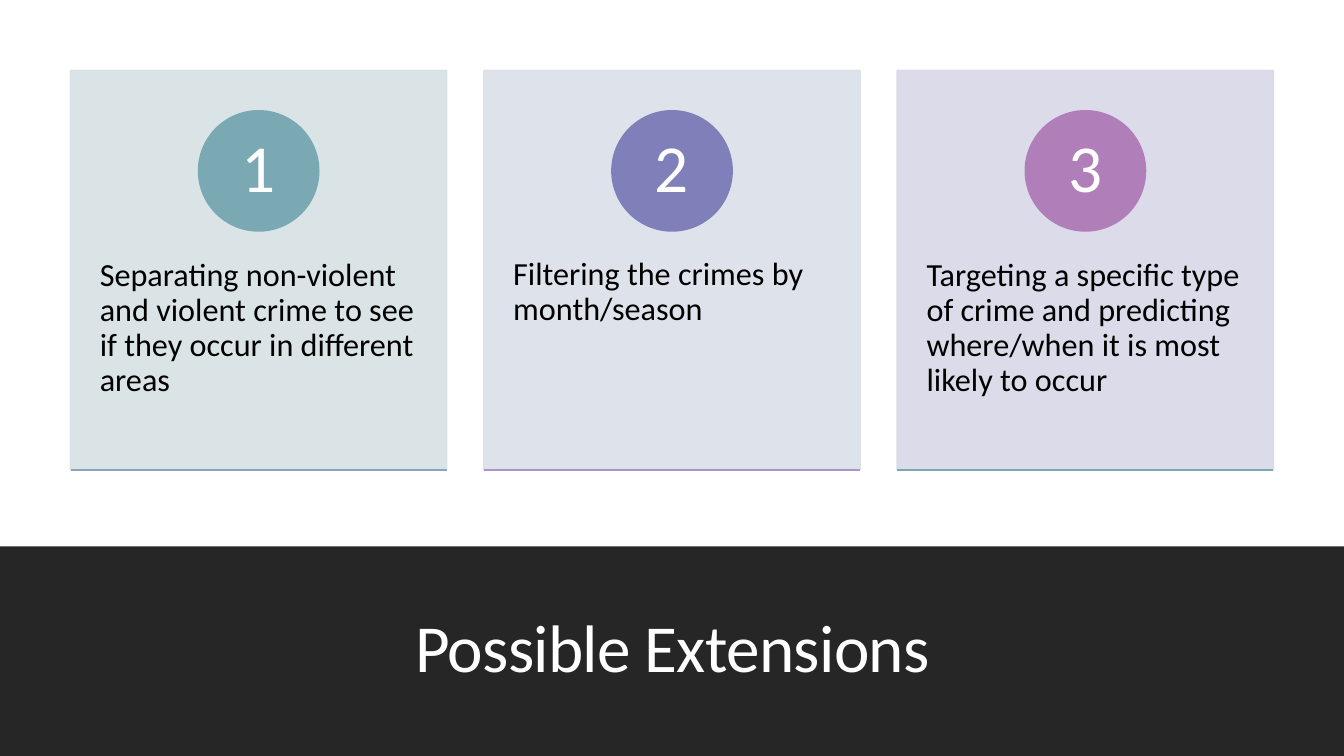
from pptx import Presentation
from pptx.dml.color import RGBColor
from pptx.enum.shapes import MSO_CONNECTOR, MSO_SHAPE
from pptx.enum.text import MSO_ANCHOR, PP_ALIGN
from pptx.oxml.ns import qn
from pptx.util import Inches, Pt
from lxml.etree import SubElement


def rgb(hex_color):
    return RGBColor.from_string(hex_color)


def write(shape, text, size, color, align, anchor, inset_x, inset_y):
    frame = shape.text_frame
    frame.text = text
    frame.word_wrap = True
    frame.vertical_anchor = anchor
    frame.margin_left = frame.margin_right = Inches(inset_x)
    frame.margin_top = frame.margin_bottom = Inches(inset_y)
    paragraph = frame.paragraphs[0]
    paragraph.alignment = align
    paragraph.line_spacing = 0.9
    font = paragraph.runs[0].font
    font.name = "Calibri"
    font.size = Pt(size)
    font.color.rgb = rgb(color)


prs = Presentation()
prs.slide_width = Inches(13.33)
prs.slide_height = Inches(7.5)
slide = prs.slides.add_slide(prs.slide_layouts[6])
shapes = slide.shapes

# Dark band with the title
band = shapes.add_shape(MSO_SHAPE.RECTANGLE, 0, Inches(5.42), prs.slide_width, Inches(2.08))
band.shadow.inherit = False
band.fill.solid()
band.fill.fore_color.rgb = rgb("262626")
band.line.fill.background()

title = shapes.add_textbox(Inches(1.17), Inches(5.74), Inches(11), Inches(1.13))
write(title, "Possible Extensions", 48, "FFFFFF", PP_ALIGN.CENTER, MSO_ANCHOR.BOTTOM, 0.1, 0.05)
title.text_frame.paragraphs[0].runs[0].font._element.set("spc", "-50")

# Numbered cards: description, card colour, circle colour, base line colour
extensions = [
    ("Separating non-violent and violent crime to see if they occur in different areas",
     "D7E2E5", "7AA9B3", "8DA3C1"),
    ("Filtering the crimes by month/season",
     "DBE0E9", "7F7FBA", "AA96C6"),
    ("Targeting a specific type of crime and predicting where/when it is most likely to occur",
     "D8D8E7", "B07FBA", "7AA9B3"),
]
card_width, card_height, card_top, card_pitch = 3.73, 3.96, 0.7, 4.1
circle_size = 1.19

for index, (description, card_color, circle_color, base_color) in enumerate(extensions):
    left = 0.7 + index * card_pitch

    card = shapes.add_shape(MSO_SHAPE.RECTANGLE, Inches(left), Inches(card_top),
                            Inches(card_width), Inches(card_height))
    circle = shapes.add_shape(MSO_SHAPE.OVAL, Inches(left + (card_width - circle_size) / 2),
                              Inches(1.1), Inches(circle_size), Inches(circle_size))
    for part, color in ((card, card_color), (circle, circle_color)):
        part.shadow.inherit = False
        part.fill.solid()
        part.fill.fore_color.rgb = rgb(color)
        part.line.color.rgb = rgb(color)
        part.line.width = Pt(1.25)

    # Card fill and outline are 90% opaque
    for color_element in card._element.spPr.iter(qn("a:srgbClr")):
        SubElement(color_element, qn("a:alpha")).set("val", "90000")

    write(circle, str(index + 1), 48, "FFFFFF", PP_ALIGN.CENTER, MSO_ANCHOR.MIDDLE, 0.09, 0.01)

    body = shapes.add_textbox(Inches(left), Inches(2.21), Inches(card_width), Inches(2.37))
    write(body, description, 23, "000000", PP_ALIGN.LEFT, MSO_ANCHOR.TOP, 0.29, 0.36)

    # Line along the bottom edge
    bottom = Inches(card_top + card_height)
    base = shapes.add_connector(MSO_CONNECTOR.STRAIGHT, Inches(left), bottom,
                                Inches(left + card_width), bottom)
    base.line.color.rgb = rgb(base_color)
    base.line.width = Pt(1.25)
    SubElement(base._element.spPr, qn("a:effectLst"))

prs.save("out.pptx")
